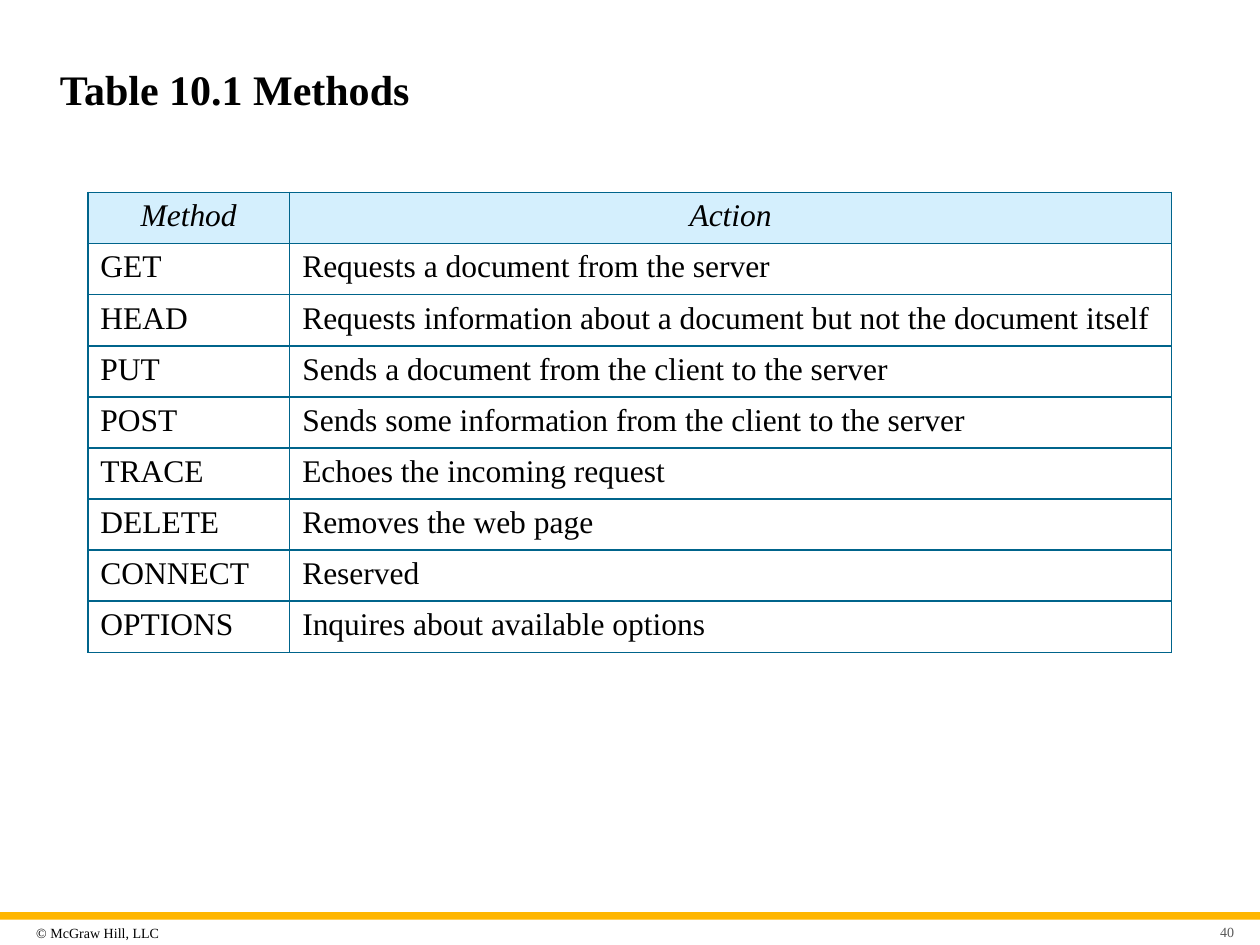
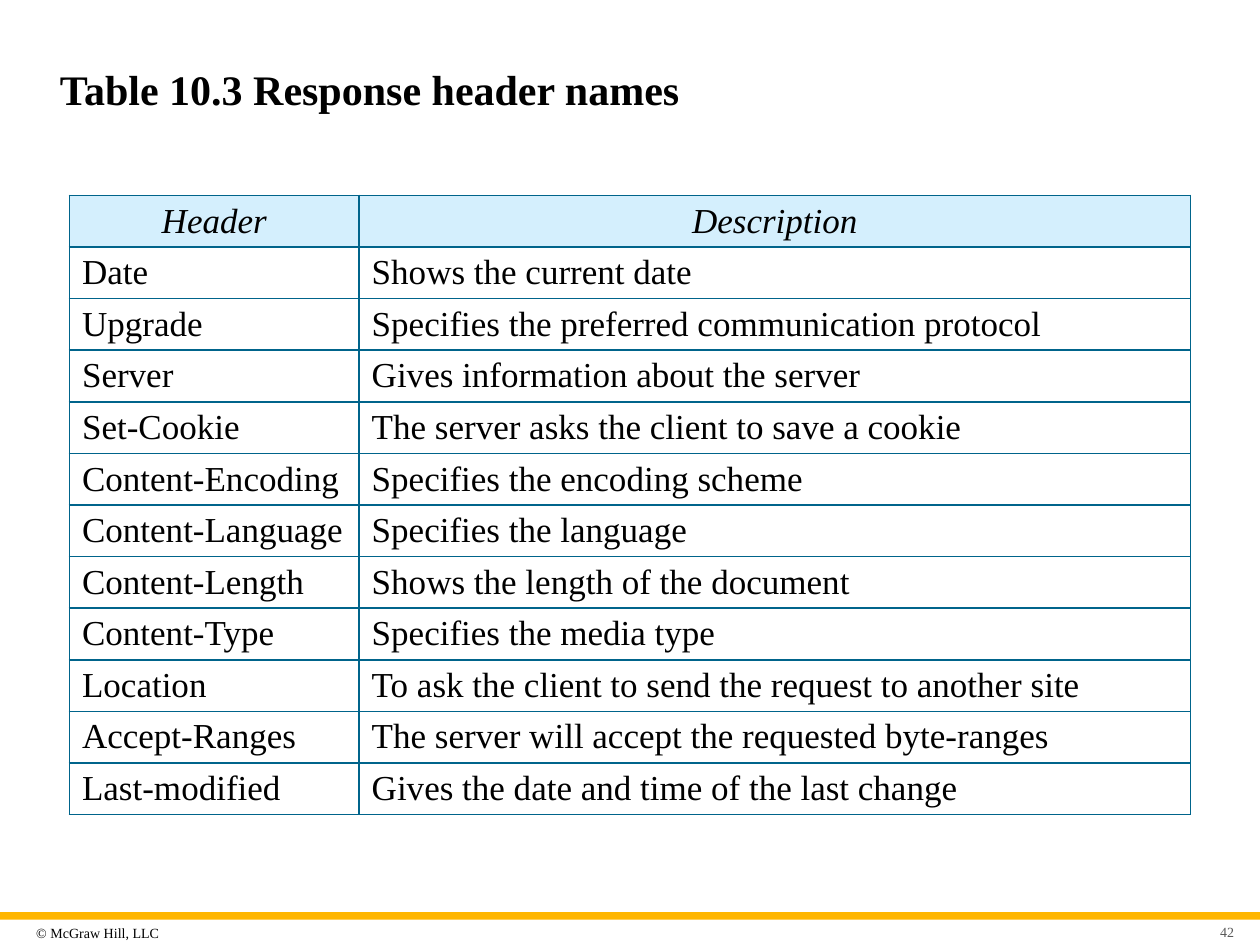
from dataclasses import dataclass

from lxml.etree import SubElement
from pptx import Presentation
from pptx.dml.color import RGBColor
from pptx.enum.shapes import MSO_SHAPE as Shape
from pptx.enum.text import MSO_ANCHOR as Anchor, PP_ALIGN as Align
from pptx.oxml.ns import qn
from pptx.util import Cm, Pt

FONT = "Times New Roman"
BLACK = "000000"
GRAY = "595959"
GOLD = "FFB600"
TEAL = "00648B"
PALE_BLUE = "D4EFFD"
SLIDE_WIDTH, SLIDE_HEIGHT = Cm(25.4), Cm(19.05)
CELL_BOTTOM_MARGIN = Cm(0.05)


@dataclass(frozen=True)
class TextStyle:
    size: float
    color: str = BLACK
    bold: bool = False
    italic: bool = False
    align: Align = Align.LEFT


@dataclass(frozen=True)
class Box:
    left: float
    top: float
    width: float
    height: float
    left_inset: float = 0.13
    right_inset: float = 0.13


@dataclass(frozen=True)
class TableSlide:
    title: str
    number: int
    left: float
    top: float
    column_widths: tuple[float, float]
    row_height: float
    text_size: float
    rows: tuple[tuple[str, str], ...]


TITLE_BOX = Box(0.96, 0.84, 23.5, 1.88, 0.25, 0.25)
COPYRIGHT_BOX = Box(0.6, 18.5, 3.43, 0.61)
NUMBER_BOX = Box(24.02, 18.55, 0.99, 0.46, 0.25)

TITLE_STYLE = TextStyle(24, bold=True)
COPYRIGHT_STYLE = TextStyle(8)
NUMBER_STYLE = TextStyle(8, GRAY, align=Align.RIGHT)

METHODS = TableSlide(
    "Table 10.1 Methods", 40, 1.77, 3.88, (4.07, 17.78), 1.03, 18,
    (
        ("Method", "Action"),
        ("GET", "Requests a document from the server"),
        ("HEAD", "Requests information about a document but not the document itself"),
        ("PUT", "Sends a document from the client to the server"),
        ("POST", "Sends some information from the client to the server"),
        ("TRACE", "Echoes the incoming request"),
        ("DELETE", "Removes the web page"),
        ("CONNECT", "Reserved"),
        ("OPTIONS", "Inquires about available options"),
    ),
)

RESPONSE_HEADERS = TableSlide(
    "Table 10.3 Response header names", 42, 1.4, 3.94, (5.84, 16.76), 1.04, 20,
    (
        ("Header", "Description"),
        ("Date", "Shows the current date"),
        ("Upgrade", "Specifies the preferred communication protocol"),
        ("Server", "Gives information about the server"),
        ("Set-Cookie", "The server asks the client to save a cookie"),
        ("Content-Encoding", "Specifies the encoding scheme"),
        ("Content-Language", "Specifies the language"),
        ("Content-Length", "Shows the length of the document"),
        ("Content-Type", "Specifies the media type"),
        ("Location", "To ask the client to send the request to another site"),
        ("Accept-Ranges", "The server will accept the requested byte-ranges"),
        ("Last-modified", "Gives the date and time of the last change"),
    ),
)


def fill_solid(fill, color: str) -> None:
    fill.solid()
    fill.fore_color.rgb = RGBColor.from_string(color)


def write_text(text_frame, text: str, style: TextStyle) -> None:
    text_frame.text = text
    for paragraph in text_frame.paragraphs:
        paragraph.alignment = style.align
        for run in paragraph.runs:
            run.font.name = FONT
            run.font.size = Pt(style.size)
            run.font.bold = style.bold
            run.font.italic = style.italic
            run.font.color.rgb = RGBColor.from_string(style.color)


def add_text(slide, box: Box, text: str, style: TextStyle) -> None:
    shape = slide.shapes.add_textbox(
        Cm(box.left), Cm(box.top), Cm(box.width), Cm(box.height)
    )
    text_frame = shape.text_frame
    text_frame.word_wrap = True
    text_frame.vertical_anchor = Anchor.MIDDLE
    text_frame.margin_left = Cm(box.left_inset)
    text_frame.margin_right = Cm(box.right_inset)
    write_text(text_frame, text, style)


def add_gold_band(slide) -> None:
    band = slide.shapes.add_shape(
        Shape.RECTANGLE, 0, Cm(18.39), SLIDE_WIDTH, Cm(0.15)
    )
    band.shadow.inherit = False
    band.line.fill.background()
    fill_solid(band.fill, GOLD)


def add_borders(cell, color: str, width: float) -> None:
    """Draw all four sides; call before filling, as borders come first in the XML."""
    properties = cell._tc.get_or_add_tcPr()
    for side in ("a:lnL", "a:lnR", "a:lnT", "a:lnB"):
        line = SubElement(properties, qn(side), w=str(Pt(width)))
        solid_fill = SubElement(line, qn("a:solidFill"))
        SubElement(solid_fill, qn("a:srgbClr"), val=color)


def add_table(slide, content: TableSlide) -> None:
    row_count = len(content.rows)
    table = slide.shapes.add_table(
        row_count,
        len(content.column_widths),
        Cm(content.left),
        Cm(content.top),
        Cm(sum(content.column_widths)),
        Cm(content.row_height * row_count),
    ).table
    table.horz_banding = False
    for column, width in zip(table.columns, content.column_widths):
        column.width = Cm(width)

    header_style = TextStyle(content.text_size, italic=True, align=Align.CENTER)
    body_style = TextStyle(content.text_size)
    for row_index, texts in enumerate(content.rows):
        is_header = row_index == 0
        table.rows[row_index].height = Cm(content.row_height)
        for cell, text in zip(table.rows[row_index].cells, texts):
            cell.margin_bottom = CELL_BOTTOM_MARGIN
            add_borders(cell, TEAL, 1)
            if is_header:
                fill_solid(cell.fill, PALE_BLUE)
            else:
                cell.fill.background()
            write_text(cell.text_frame, text, header_style if is_header else body_style)


def add_table_slide(presentation, content: TableSlide) -> None:
    slide = presentation.slides.add_slide(presentation.slide_layouts[6])
    add_gold_band(slide)
    add_text(slide, COPYRIGHT_BOX, "© McGraw Hill, LLC", COPYRIGHT_STYLE)
    add_text(slide, TITLE_BOX, content.title, TITLE_STYLE)
    add_table(slide, content)
    add_text(slide, NUMBER_BOX, str(content.number), NUMBER_STYLE)


def main() -> None:
    presentation = Presentation()
    presentation.slide_width = SLIDE_WIDTH
    presentation.slide_height = SLIDE_HEIGHT
    for content in (METHODS, RESPONSE_HEADERS):
        add_table_slide(presentation, content)
    presentation.save("out.pptx")


if __name__ == "__main__":
    main()
